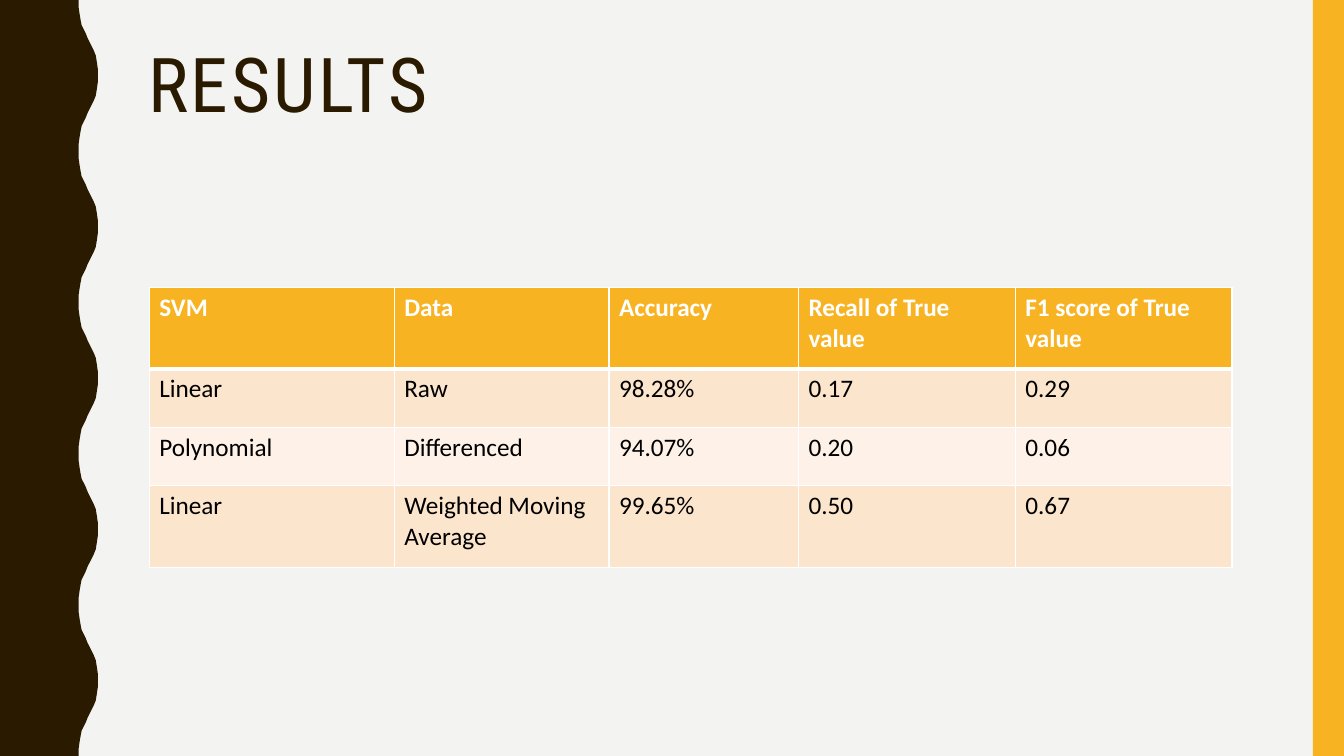
from lxml import etree
from pptx import Presentation
from pptx.dml.color import RGBColor
from pptx.enum.shapes import MSO_SHAPE
from pptx.enum.text import MSO_ANCHOR
from pptx.oxml.ns import qn
from pptx.util import Inches, Pt

RECT = MSO_SHAPE.RECTANGLE
TOP = MSO_ANCHOR.TOP
DARK, GOLD, WHITE = "2A1A00", "F8B323", "FFFFFF"


def paint(fill, color):
    fill.solid()
    fill.fore_color.rgb = RGBColor.from_string(color)


def style(para, color, **form):
    for key, value in form.items():
        setattr(para.runs[0].font, key, value)
    paint(para.runs[0].font.fill, color)


deck = Presentation()
deck.slide_width, deck.slide_height = Inches(13.33), Inches(7.5)
slide = deck.slides.add_slide(deck.slide_layouts[6])
paint(slide.background.fill, "F3F3F2")

rise = [(0.78, 0), (0.78, 0.07), (0.79, 0.14), (0.8, 0.2), (0.81, 0.25),
        (0.83, 0.29), (0.85, 0.33), (0.87, 0.38), (0.89, 0.42), (0.91, 0.46),
        (0.93, 0.5), (0.95, 0.55), (0.96, 0.61), (0.97, 0.68), (0.97, 0.75)]
wave = rise + [(x, 1.5 - y) for x, y in rise[-2::-1]]
edge = [(Inches(x), Inches(y + 1.5 * turn)) for turn in range(5) for x, y in wave]
form = slide.shapes.build_freeform(0, 0, scale=1.0)
form.add_line_segments(edge + [(0, Inches(7.5))], close=True)
side = form.convert_to_shape()
bar = slide.shapes.add_shape(RECT, Inches(13.02), 0, Inches(0.31), Inches(7.5))
for shape, color in ((side, DARK), (bar, GOLD)):
    shape.shadow.inherit = False
    paint(shape.fill, color)
    shape.line.fill.background()

title = slide.shapes.add_textbox(Inches(1.37), Inches(0.42), Inches(11.13), Inches(1.63))
frame = title.text_frame
frame.word_wrap = True
frame.vertical_anchor = TOP
frame.text = "RESULTS"
head = frame.paragraphs[0]
head.line_spacing = 0.9
style(head, DARK, name="Roboto Condensed", size=Pt(54))
head.runs[0].font._element.set("spc", "200")

rows = [
    ["SVM", "Data", "Accuracy", "Recall of True value", "F1 score of True value"],
    ["Linear", "Raw", "98.28%", "0.17", "0.29"],
    ["Polynomial", "Differenced", "94.07%", "0.20", "0.06"],
    ["Linear", "Weighted Moving Average", "99.65%", "0.50", "0.67"],
]
fills = [GOLD, "FCE5CD", "FEF2E8", "FCE5CD"]
table = slide.shapes.add_table(4, 5, Inches(1.48), Inches(2.85), Inches(10.74), Inches(2.78)).table
for col, width in zip(table.columns, [2.43, 2.13, 1.88, 2.15, 2.15]):
    col.width = Inches(width)
for row, height in zip(table.rows, [0.81, 0.58, 0.58, 0.81]):
    row.height = Inches(height)

for r, row in enumerate(rows):
    for c, text in enumerate(row):
        cell = table.cell(r, c)
        cell.text = text
        style(cell.text_frame.paragraphs[0], "000000" if r else WHITE,
              name="Calibri", size=Pt(18), bold=r == 0)
        props = cell._tc.get_or_add_tcPr()
        for tag in ("lnL", "lnR", "lnT", "lnB"):
            thick = (r, tag) in ((0, "lnB"), (1, "lnT"))
            line = etree.SubElement(props, qn("a:" + tag), w=str(Pt(3 if thick else 1)))
            solid = etree.SubElement(line, qn("a:solidFill"))
            etree.SubElement(solid, qn("a:srgbClr"), val=WHITE)
        paint(cell.fill, fills[r])

deck.save("out.pptx")
